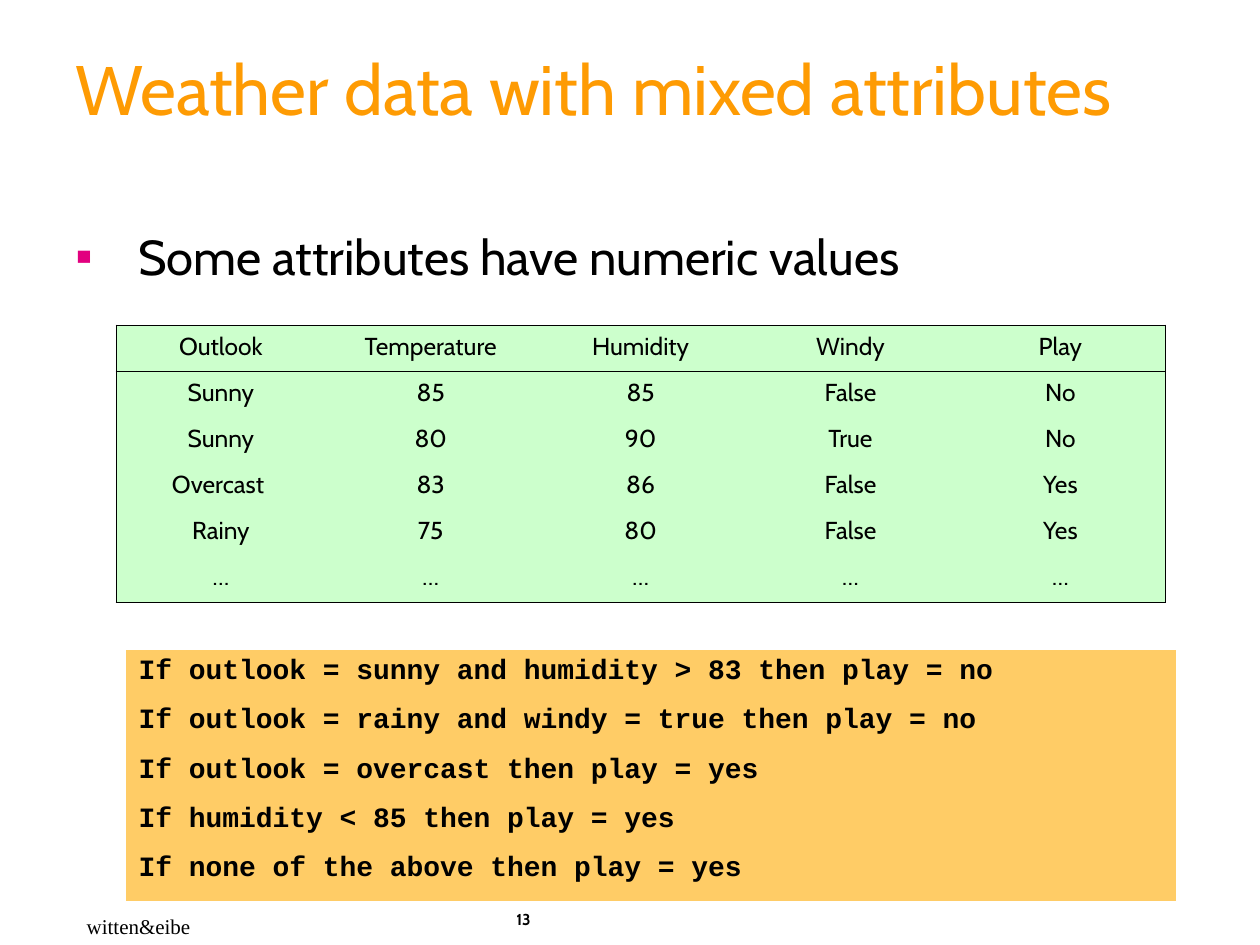
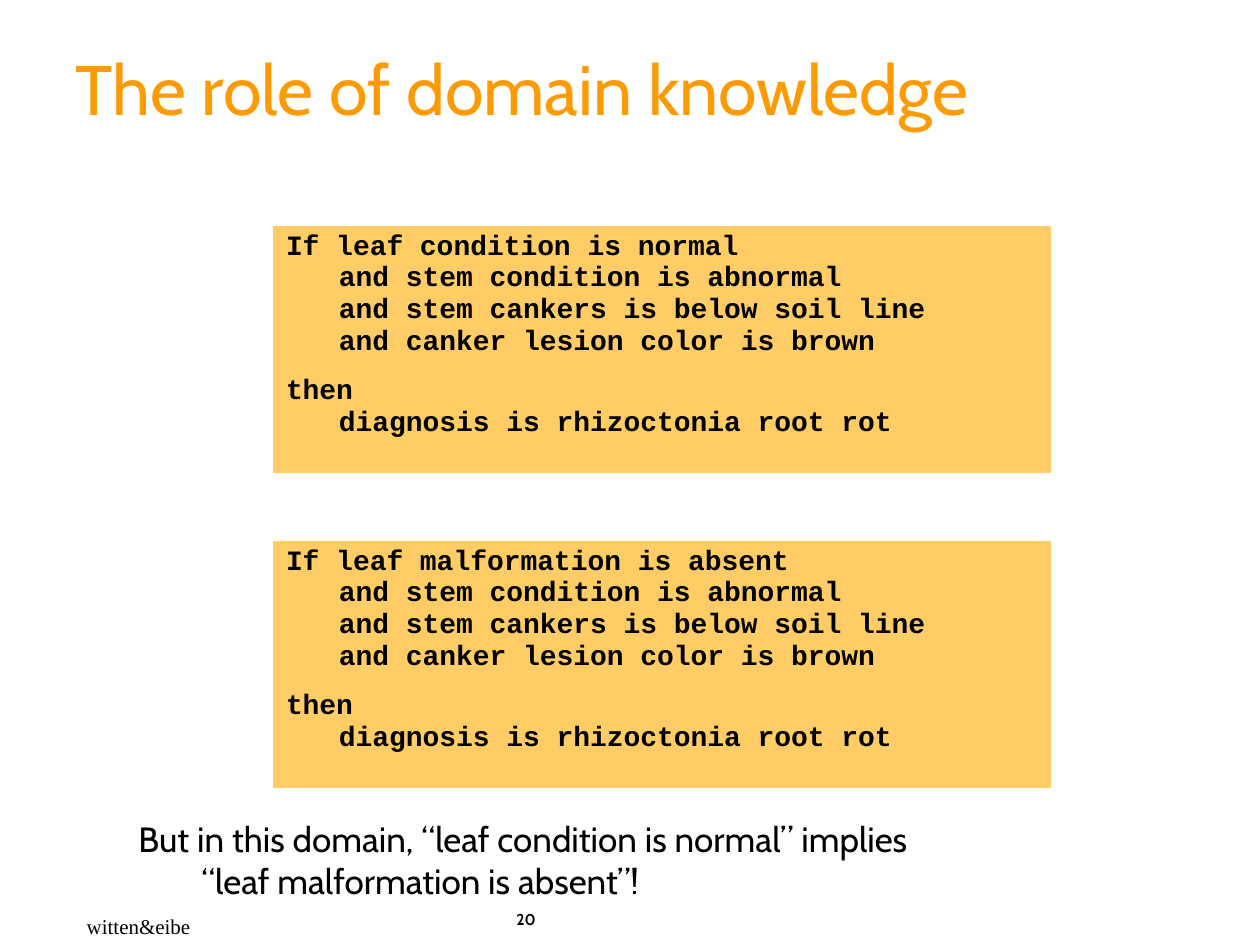
"""Build two slides on learning rules from data."""
from lxml import etree
from pptx import Presentation
from pptx import util as u
from pptx.dml import color
from pptx.enum import text
from pptx.oxml import ns

BLACK, ORANGE, MAGENTA = "000000", "FE9B03", "E2007F"
GREEN, AMBER = "CCFFCC", "FFCC66"
BODY_FONT, CODE_FONT, SERIF_FONT = "Cabin", "Courier New", "Times New Roman"

WEATHER = [
    ["Outlook", "Temperature", "Humidity", "Windy", "Play"],
    ["Sunny", "85", "85", "False", "No"],
    ["Sunny", "80", "90", "True", "No"],
    ["Overcast ", "83", "86", "False", "Yes"],
    ["Rainy", "75", "80", "False", "Yes"],
    ["…"] * 5,
]
WEATHER_RULES = [
    "If outlook = sunny and humidity > 83 then play = no",
    "If outlook = rainy and windy = true then play = no",
    "If outlook = overcast then play = yes",
    "If humidity < 85 then play = yes",
    "If none of the above then play = yes",
]
LEAF_CONDITIONS = ["leaf condition is normal", "leaf malformation is absent"]
SHARED_CONDITIONS = (
    "\nand stem condition is abnormal"
    "\nand stem cankers is below soil line"
    "\nand canker lesion color is brown"
)
DIAGNOSIS = "then\ndiagnosis is rhizoctonia root rot"


def rgb(hex_code):
    """Return the colour for a hex string."""
    return color.RGBColor.from_string(hex_code)


def write(paragraph, words, size, font=BODY_FONT, ink=BLACK, bold=False,
          before=0, hanging=0):
    """Write words run by run, with a line break at each newline."""
    paragraph.space_before = u.Pt(before)
    if hanging:
        properties = paragraph._p.get_or_add_pPr()
        properties.set("marL", str(u.Inches(hanging)))
        properties.set("indent", str(-u.Inches(hanging)))
    for number, line in enumerate(words.split("\n")):
        if number:
            paragraph.add_line_break()
        run = paragraph.add_run()
        run.text = line
        run.font.size, run.font.name, run.font.bold = u.Pt(size), font, bold
        run.font.color.rgb = rgb(ink)


def add_bullet(paragraph, mark, ink):
    """Give a paragraph a coloured bullet."""
    properties = paragraph._p.get_or_add_pPr()
    bullet_color = etree.SubElement(properties, ns.qn("a:buClr"))
    etree.SubElement(bullet_color, ns.qn("a:srgbClr"), val=ink)
    etree.SubElement(properties, ns.qn("a:buFont"), typeface=SERIF_FONT)
    etree.SubElement(properties, ns.qn("a:buChar"), char=mark)


def add_text(slide, place, words, size, anchor=text.MSO_ANCHOR.TOP, **style):
    """Add a one-paragraph text box and return the paragraph."""
    frame = slide.shapes.add_textbox(*map(u.Inches, place)).text_frame
    frame.word_wrap, frame.vertical_anchor = True, anchor
    write(frame.paragraphs[0], words, size, **style)
    return frame.paragraphs[0]


def set_borders(cell, sides):
    """Draw thin black borders on the given sides and clear the others."""
    properties = cell._tc.get_or_add_tcPr()
    for position, side in enumerate("LRTB"):
        border = etree.Element(ns.qn(f"a:ln{side}"), w=str(u.Pt(0.45)))
        if side in sides:
            fill = etree.SubElement(border, ns.qn("a:solidFill"))
            etree.SubElement(fill, ns.qn("a:srgbClr"), val=BLACK)
        else:
            etree.SubElement(border, ns.qn("a:noFill"))
        properties.insert(position, border)


def add_plain_table(slide, rows, columns, place, fill):
    """Add an evenly divided table with one fill and no banding."""
    table = slide.shapes.add_table(rows, columns, *map(u.Inches, place)).table
    table.first_row = table.horz_banding = False
    for cell in table.iter_cells():
        cell.fill.solid()
        cell.fill.fore_color.rgb = rgb(fill)
    return table


def add_data_table(slide, place, records):
    """Add a centred data table with an outline and a ruled heading."""
    last_row, last_column = len(records) - 1, len(records[0]) - 1
    table = add_plain_table(slide, last_row + 1, last_column + 1, place, GREEN)
    for r, record in enumerate(records):
        for c, value in enumerate(record):
            cell = table.cell(r, c)
            paragraph = cell.text_frame.paragraphs[0]
            paragraph.alignment = text.PP_ALIGN.CENTER
            write(paragraph, value, 14, before=8.8)
            edges = {"L": c == 0, "R": c == last_column,
                     "T": r in (0, 1), "B": r in (0, last_row)}
            set_borders(cell, [side for side, drawn in edges.items() if drawn])


def add_rule_box(slide, place, rules, hanging=0):
    """Add an amber box of rules in code type."""
    cell = add_plain_table(slide, 1, 1, place, AMBER).cell(0, 0)
    set_borders(cell, "")
    frame = cell.text_frame
    for number, rule in enumerate(rules):
        paragraph = frame.add_paragraph() if number else frame.paragraphs[0]
        write(paragraph, rule, 16, font=CODE_FONT, bold=True, before=10,
              hanging=hanging)


def add_slide(deck, title, page):
    """Add a blank slide with its title, credit and page number."""
    slide = deck.slides.add_slide(deck.slide_layouts[6])
    heading = add_text(slide, (0.5, 0.25, 9.08, 1), title, 40, ink=ORANGE,
                       anchor=text.MSO_ANCHOR.MIDDLE)
    heading.line_spacing = 0.85
    add_text(slide, (0.59, 7.2, 1.2, 0.3), "witten&eibe", 12, font=SERIF_FONT)
    add_text(slide, (4, 7.17, 1.02, 0.33), str(page), 9, bold=True)
    return slide


def main():
    """Build and save the deck."""
    deck = Presentation()
    deck.slide_width, deck.slide_height = u.Inches(10), u.Inches(7.5)

    weather = add_slide(deck, "Weather data with mixed attributes", 13)
    point = add_text(weather, (0.5, 1.75, 9.08, 5.17),
                     "Some attributes have numeric values", 28,
                     before=17.5, hanging=0.5)
    add_bullet(point, "▪", MAGENTA)
    add_data_table(weather, (0.92, 2.58, 8.33, 2.2), WEATHER)
    add_rule_box(weather, (1, 5.16, 8.33, 1.99), WEATHER_RULES)

    domain = add_slide(deck, "The role of domain knowledge", 20)
    for number, condition in enumerate(LEAF_CONDITIONS):
        add_rule_box(domain, (2.17, 1.79 + 2.5 * number, 6.17, 1.96),
                     [f"If {condition}{SHARED_CONDITIONS}", DIAGNOSIS],
                     hanging=0.42)
    add_text(domain, (1, 6.44, 8.25, 0.93),
             "But in this domain, “leaf condition is normal” implies\n"
             "“leaf malformation is absent”!", 20, before=12.5, hanging=0.5)

    deck.save("out.pptx")


if __name__ == "__main__":
    main()
